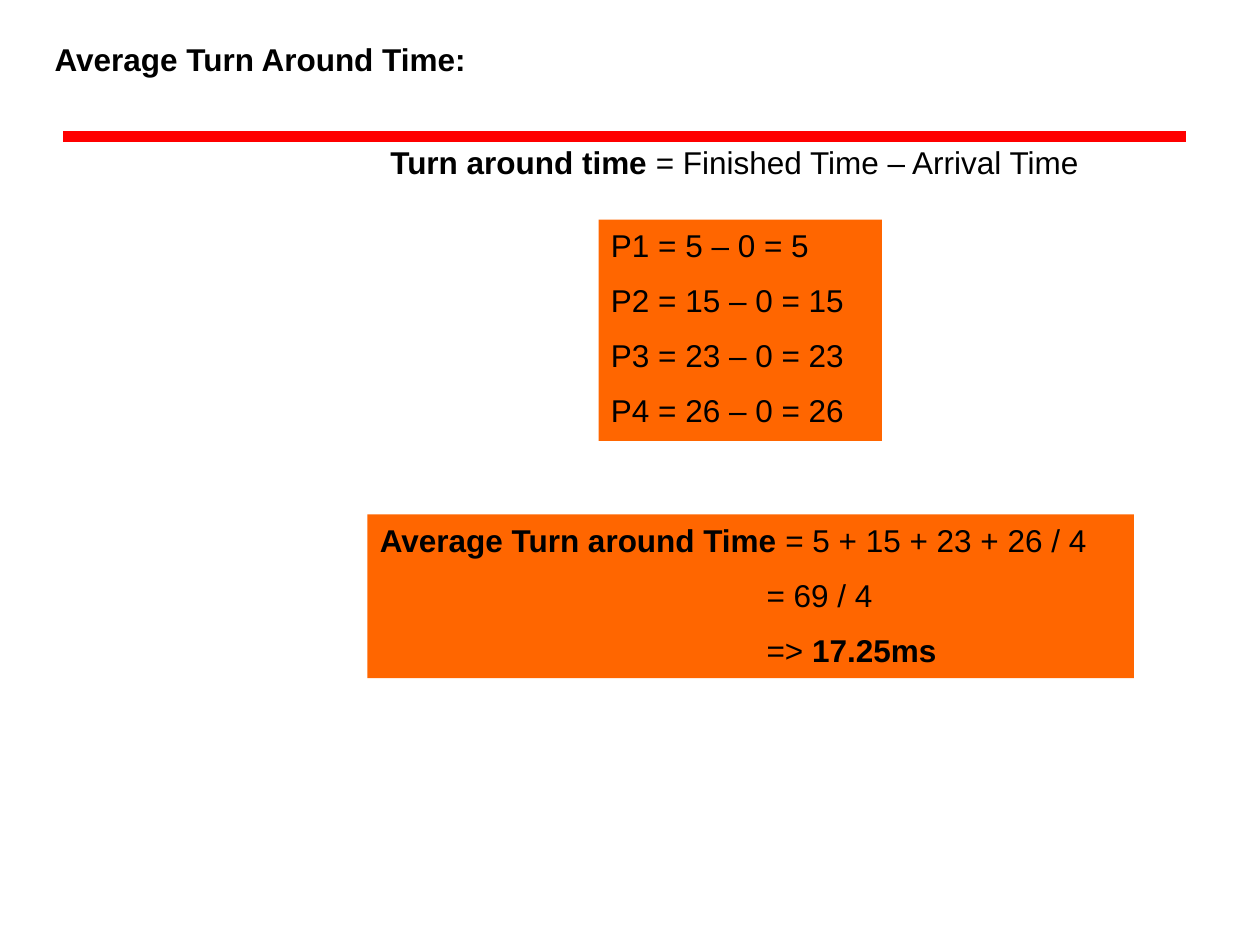
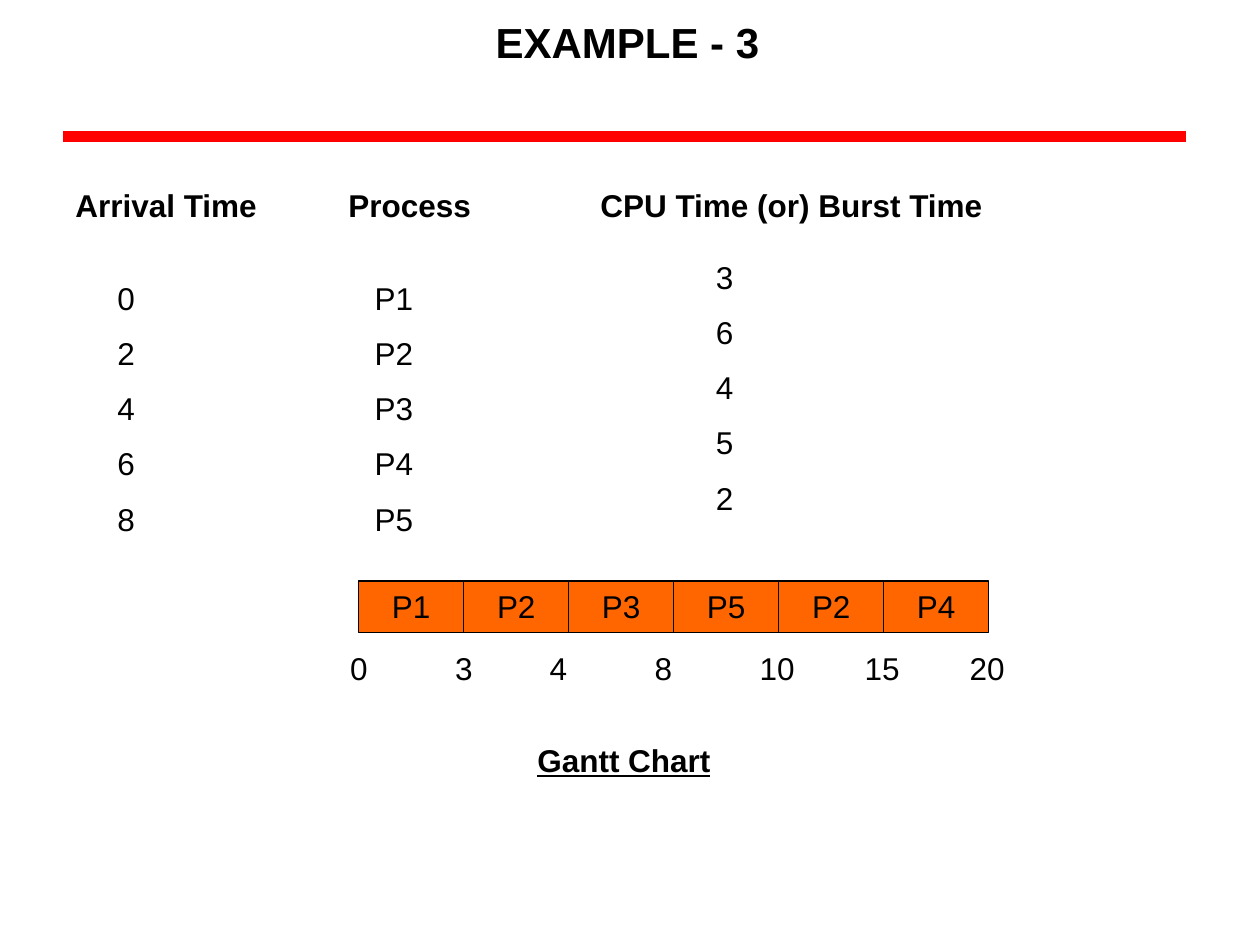
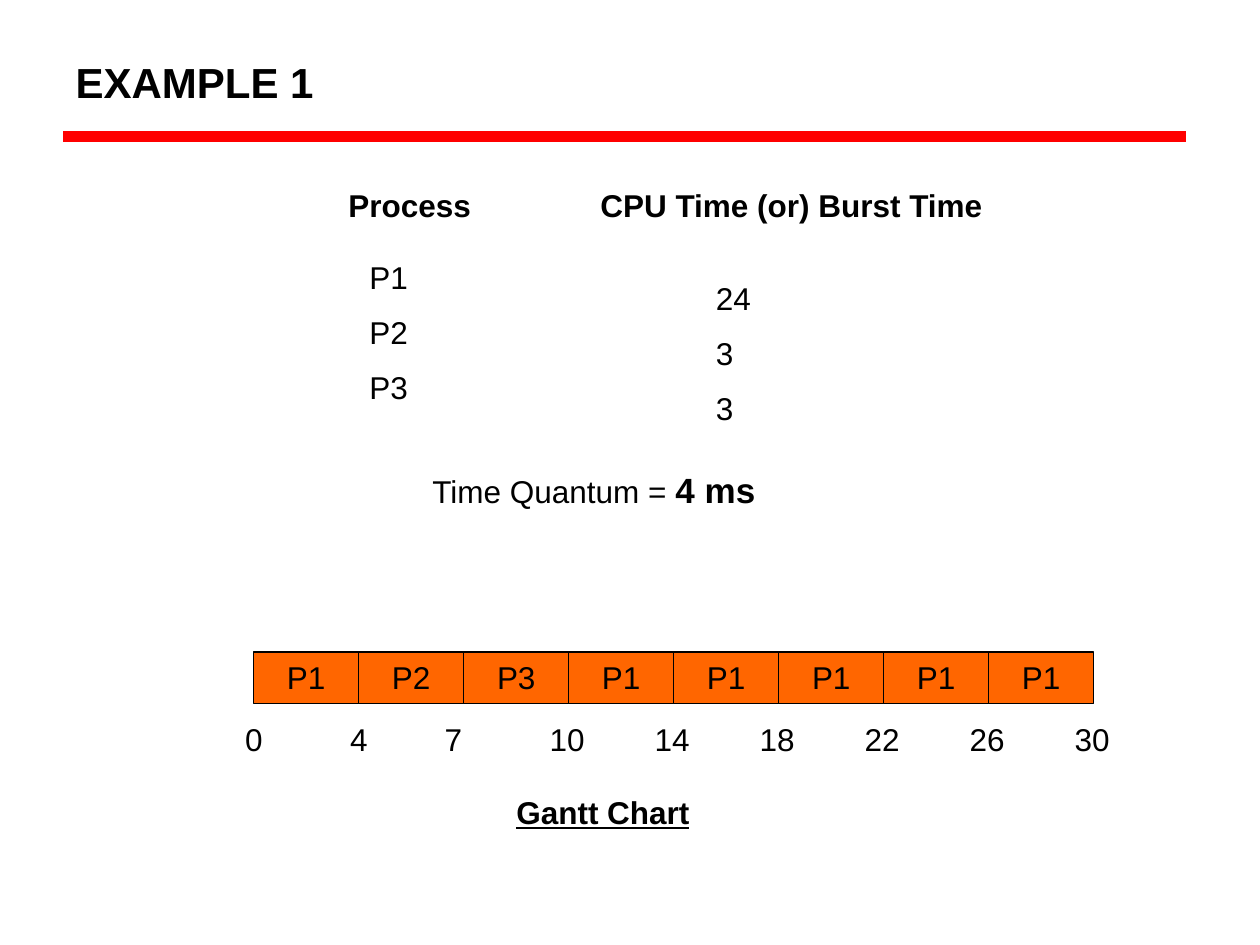
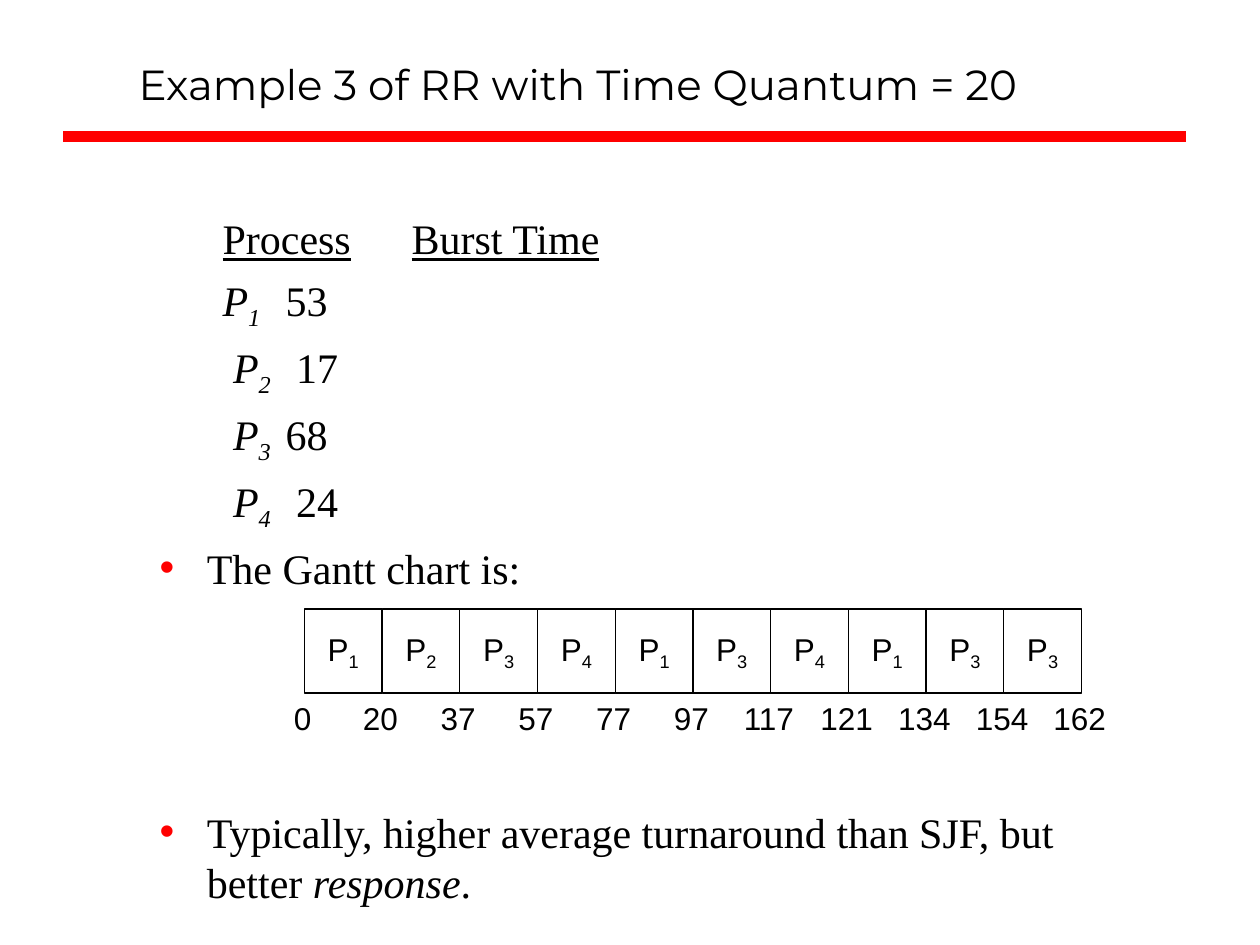
from lxml import etree
from pptx import Presentation
from pptx.dml.color import RGBColor
from pptx.enum.shapes import MSO_CONNECTOR, MSO_SHAPE
from pptx.enum.text import MSO_ANCHOR, MSO_AUTO_SIZE, PP_ALIGN
from pptx.oxml.ns import qn
from pptx.util import Pt

LEFT, CENTER = PP_ALIGN.LEFT, PP_ALIGN.CENTER
TOP, MIDDLE, BOTTOM = MSO_ANCHOR.TOP, MSO_ANCHOR.MIDDLE, MSO_ANCHOR.BOTTOM
RECT, STRAIGHT = MSO_SHAPE.RECTANGLE, MSO_CONNECTOR.STRAIGHT
COLORS = {"rule": "FF0000", "box": "FF6600", "text": "000000", "paper": "FFFFFF"}
SANS, SERIF, HEADING, FALLBACK = "Arial", "Times New Roman", "Montserrat", "DejaVu Sans"
TITLE_ONLY, TITLE_AND_BODY = 5, 1
B = {"bold": True}
SUB = {"sub": True}
ITALIC = {"italic": True}
UNDER = {"underline": True}


def rgb(name):
    return RGBColor.from_string(COLORS[name])


# ---- Text ----
def add_run(p, text, font=SANS, size=18, bold=False, italic=False, underline=False, sub=False):
    r = p.add_run()
    r.text = text
    r.font.name, r.font.size = font, Pt(size)
    r.font.bold, r.font.italic, r.font.underline = bold, italic, underline
    r.font.color.rgb = rgb("text")
    if sub:
        r._r.get_or_add_rPr().set("baseline", "-25000")


def write(tf, paras, align=LEFT, anchor=TOP, wrap=True, gap=9.9, **fmt):
    """Each paragraph is a string or a list of runs; a run is a string or (string, format)."""
    tf.auto_size = MSO_AUTO_SIZE.NONE
    tf.word_wrap, tf.vertical_anchor = wrap, anchor
    for i, runs in enumerate(paras):
        p = tf.paragraphs[0] if i == 0 else tf.add_paragraph()
        p.alignment = align
        p.space_before = Pt(gap if i else 0)
        for run in [runs] if isinstance(runs, str) else runs:
            text, extra = (run, {}) if isinstance(run, str) else run
            add_run(p, text, **{**fmt, **extra})


def indent(p, left, first=0):
    pPr = p._p.get_or_add_pPr()
    pPr.set("marL", str(Pt(left)))
    pPr.set("indent", str(Pt(first)))
    return pPr


def set_tabs(p, stops):
    pPr = indent(p, 0)
    etree.SubElement(pPr, qn("a:buNone"))
    tabs = etree.SubElement(pPr, qn("a:tabLst"))
    for stop in stops:
        etree.SubElement(tabs, qn("a:tab"), pos=str(Pt(stop)), algn="l")


def set_bullet(p):
    pPr = indent(p, 27, -27)
    color = etree.SubElement(pPr, qn("a:buClr"))
    etree.SubElement(color, qn("a:srgbClr"), val=COLORS["rule"])
    etree.SubElement(pPr, qn("a:buChar"), char="•")


# ---- Shared parts ----
def place(sp, x, y, w, h):
    sp.left, sp.top, sp.width, sp.height = Pt(x), Pt(y), Pt(w), Pt(h)


def label(shapes, x, y, w, paras, h=None, **fmt):
    sp = shapes.add_textbox(Pt(x), Pt(y), Pt(w), Pt(h or 33 * len(paras) - 4))
    write(sp.text_frame, paras, **fmt)
    return sp


def box(shapes, x, y, w, h, paras, fill="box", outline=True, **fmt):
    sp = shapes.add_shape(RECT, Pt(x), Pt(y), Pt(w), Pt(h))
    sp.shadow.inherit = False
    sp.fill.solid()
    sp.fill.fore_color.rgb = rgb(fill)
    if outline:
        sp.line.color.rgb = rgb("text")
        sp.line.width = Pt(0.75)
    else:
        sp.line.fill.background()
    write(sp.text_frame, paras, **fmt)
    return sp


def new_slide(prs, title, at, layout=TITLE_ONLY, **fmt):
    s = prs.slides.add_slide(prs.slide_layouts[layout])
    rule = s.shapes.add_connector(STRAIGHT, Pt(36), Pt(78), Pt(678), Pt(78))
    rule.line.color.rgb = rgb("rule")
    rule.line.width = Pt(6)
    etree.SubElement(rule._element.spPr, qn("a:effectLst"))
    place(s.shapes.title, *at)
    write(s.shapes.title.text_frame, [title], **fmt)
    return s


def column(s, x, heading, head_w, values, values_x, values_y):
    label(s.shapes, x, 102.5, head_w, [heading], bold=True)
    label(s.shapes, values_x, values_y, 48, values)


def gantt(s, x, y, names, times):
    """Row of processes with the times under the cell edges."""
    cell_w = 60
    for i, name in enumerate(names):
        box(s.shapes, x + i * cell_w, y, cell_w, 29.5, [name], align=CENTER)
    for i, time in enumerate(times):
        w = 24 if i < 2 else 36
        label(s.shapes, x + i * cell_w - w / 2, y + 35.5, w, [time])


def subscript_gantt(s, x, y, numbers, times):
    """Grouped row of white cells with centred times under the cell edges."""
    shapes = s.shapes.add_group_shape().shapes
    cell_w, cell_h = 44.4, 48
    for i, number in enumerate(numbers):
        box(shapes, x + i * cell_w, y, cell_w, cell_h, [["P", (number, SUB)]], fill="paper",
            align=CENTER, anchor=MIDDLE, wrap=False)
    for i, time in enumerate(times):
        w = 14.5 + 10 * len(time)
        label(shapes, x + i * cell_w - w / 2 - 1, y + cell_h, w, [time],
              align=CENTER, anchor=MIDDLE, wrap=False)


# ---- Slides ----
def turnaround_slide(prs):
    s = new_slide(prs, "Average Turn Around Time:", (24, 19.5, 264, 29), bold=True)
    label(s.shapes, 216, 78, 414,
          [[("Turn around time", B), " = Finished Time – Arrival Time"]])
    finished = [5, 15, 23, 26]
    box(s.shapes, 342, 125.5, 162, 126.5,
        [f"P{i} = {t} – 0 = {t}" for i, t in enumerate(finished, 1)], outline=False)
    average = box(s.shapes, 210, 294, 438, 93.5,
                  [[("Average Turn around Time", B), " = 5 + 15 + 23 + 26 / 4"],
                   "= 69 / 4",
                   ["=>", (" 17.25ms", B)]], outline=False)
    for p in average.text_frame.paragraphs[1:]:
        indent(p, 221)


def arrival_slide(prs):
    s = new_slide(prs, "EXAMPLE - 3", (276, 6, 204, 36), size=24, bold=True)
    column(s, 36, "Arrival Time", 150, list("02468"), 60, 156)
    column(s, 192, "Process", 96, [f"P{i}" for i in range(1, 6)], 207, 156)
    column(s, 336, "CPU Time (or) Burst Time", 270, list("36452"), 402, 144)
    gantt(s, 205, 332, ["P1", "P2", "P3", "P5", "P2", "P4"],
          ["0", "3", "4", "8", "10", "15", "20"])
    label(s.shapes, 300, 420, 120, ["Gantt Chart"], bold=True, underline=True)


def quantum_slide(prs):
    s = new_slide(prs, "EXAMPLE 1", (36, 28.5, 204, 36), size=24, bold=True)
    column(s, 192, "Process", 96, ["P1", "P2", "P3"], 204, 144)
    column(s, 336, "CPU Time (or) Burst Time", 270, ["24", "3", "3"], 402, 156)
    gantt(s, 145, 372.5, ["P1", "P2", "P3"] + ["P1"] * 5,
          ["0", "4", "7", "10", "14", "18", "22", "26", "30"])
    label(s.shapes, 288, 449.5, 120, ["Gantt Chart"], bold=True, underline=True)
    label(s.shapes, 240, 264, 216,
          [["Time Quantum = ", ("4 ms", {"bold": True, "size": 20})]], h=31)


def round_robin_slide(prs):
    s = new_slide(prs, "Example 3 of RR with Time Quantum = 20", (72, 0, 634, 66),
                  TITLE_AND_BODY, font=HEADING, size=24, anchor=BOTTOM)
    body = s.placeholders[1]
    place(body, 84, 114, 554, 324)
    rows = [
        [("\t", {"font": FALLBACK, "size": 28}), ("Process", UNDER), "\t", ("Burst Time", UNDER)],
        ["\t", ("P", ITALIC), ("1", {**SUB, **ITALIC}), "\t53"],
    ]
    for number, burst in [("2", " 17"), ("3", "68"), ("4", " 24")]:
        rows.append(["\t ", ("P", ITALIC), (number, {**SUB, **ITALIC}), "\t" + burst])
    points = ["The Gantt chart is:",
              ["Typically, higher average turnaround than SJF, but better ",
               ("response", ITALIC), "."]]
    write(body.text_frame, rows + points, font=SERIF, size=24, gap=5.5)
    paras = body.text_frame.paragraphs
    for p in paras[:len(rows)]:
        set_tabs(p, [99, 171, 243])
    for p in paras[len(rows):]:
        set_bullet(p)
    paras[-1].space_before = Pt(122)  # room for the chart
    subscript_gantt(s, 174, 348, "1234134133",
                    ["0", "20", "37", "57", "77", "97", "117", "121", "134", "154", "162"])


def main():
    prs = Presentation()
    prs.slide_width, prs.slide_height = Pt(720), Pt(540)
    turnaround_slide(prs)
    arrival_slide(prs)
    quantum_slide(prs)
    round_robin_slide(prs)
    prs.save("out.pptx")


if __name__ == "__main__":
    main()
